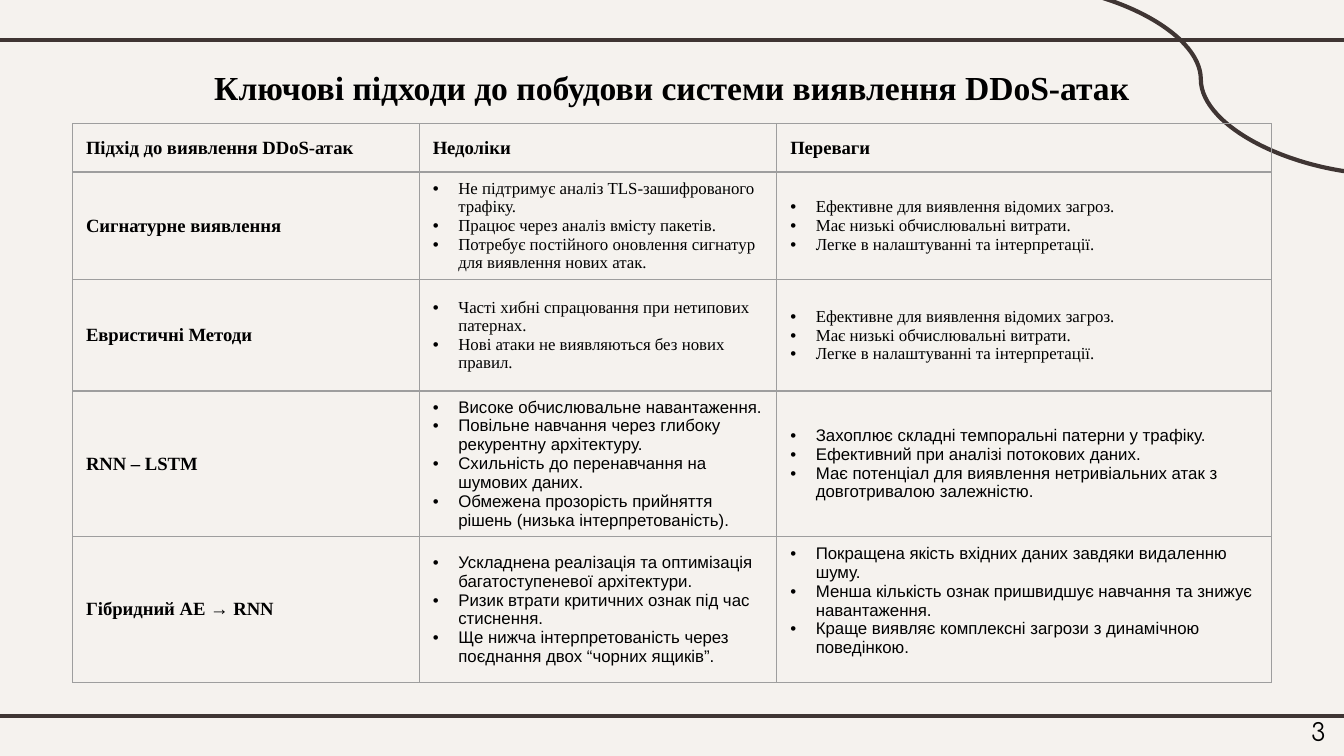
"""Build a slide with a table comparing approaches to detecting DDoS attacks."""
from lxml import etree
from pptx import Presentation
from pptx import util as u
from pptx.dml.color import RGBColor
from pptx.enum import shapes, text
from pptx.oxml import ns

PAPER = RGBColor(0xF5, 0xF2, 0xEE)
BROWN = RGBColor(0x3F, 0x35, 0x33)
GREY = RGBColor(0x9E, 0x9E, 0x9E)
BLACK = RGBColor(0, 0, 0)
SERIF, SANS = "Times New Roman", "Arial"

KNOWN_THREATS = [
    "Ефективне для виявлення відомих загроз.",
    "Має низькі обчислювальні витрати.",
    "Легке в налаштуванні та інтерпретації.",
]
HEADER = ["Підхід до виявлення DDoS-атак", "Недоліки", "Переваги"]
APPROACHES = [
    ("Сигнатурне виявлення", SERIF,
     ["Не підтримує аналіз TLS-зашифрованого трафіку.",
      "Працює через аналіз вмісту пакетів.",
      "Потребує постійного оновлення сигнатур для виявлення нових атак."],
     KNOWN_THREATS),
    ("Eвристичні Методи", SERIF,
     ["Часті хибні спрацювання при нетипових патернах.",
      "Нові атаки не виявляються без нових правил."],
     KNOWN_THREATS),
    ("RNN – LSTM", SANS,
     ["Високе обчислювальне навантаження.",
      "Повільне навчання через глибоку рекурентну архітектуру.",
      "Схильність до перенавчання на шумових даних.",
      "Обмежена прозорість прийняття рішень (низька інтерпретованість)."],
     ["Захоплює складні темпоральні патерни у трафіку.",
      "Ефективний при аналізі потокових даних.",
      "Має потенціал для виявлення нетривіальних атак з довготривалою залежністю."]),
    ("Гібридний AE → RNN", SANS,
     ["Ускладнена реалізація та оптимізація багатоступеневої архітектури.",
      "Ризик втрати критичних ознак під час стиснення.",
      "Ще нижча інтерпретованість через поєднання двох “чорних ящиків”."],
     ["Покращена якість вхідних даних завдяки видаленню шуму.",
      "Менша кількість ознак пришвидшує навчання та знижує навантаження.",
      "Краще виявляє комплексні загрози з динамічною поведінкою."]),
]
COLS = [2.58, 2.66, 3.68]
ROWS = [0.36, 0.8, 0.83, 1.08, 1.09]


def write(tf, lines, align=None, bullet=False, **fmt):
    for i, line in enumerate(lines):
        p = tf.paragraphs[0] if i == 0 else tf.add_paragraph()
        p.alignment = align
        r = p.add_run()
        r.text = line
        r.font.color.rgb = BLACK
        for name, value in fmt.items():
            setattr(r.font, name, value)
        if bullet:
            pPr = p._p.get_or_add_pPr()
            pPr.set("marL", str(u.Inches(0.19)))
            pPr.set("indent", str(-u.Inches(0.19)))
            clr = etree.SubElement(pPr, ns.qn("a:buClr"))
            etree.SubElement(clr, ns.qn("a:srgbClr"), val=str(BLACK))
            etree.SubElement(pPr, ns.qn("a:buFont"), typeface=SANS)
            etree.SubElement(pPr, ns.qn("a:buChar"), char="•")


def frame(cell):
    tcPr = cell._tc.get_or_add_tcPr()
    for side in "LRTB":
        ln = etree.SubElement(tcPr, ns.qn(f"a:ln{side}"), w=str(u.Pt(0.75)))
        fill = etree.SubElement(ln, ns.qn("a:solidFill"))
        etree.SubElement(fill, ns.qn("a:srgbClr"), val=str(GREY))
    cell.fill.background()


prs = Presentation()
prs.slide_width = u.Inches(10)
prs.slide_height = prs.slide_width * 9 // 16
s = prs.slides.add_slide(prs.slide_layouts[5])
s.background.fill.solid()
s.background.fill.fore_color.rgb = PAPER

STRAIGHT, CURVE = shapes.MSO_CONNECTOR.STRAIGHT, shapes.MSO_CONNECTOR.CURVE
for kind, *ends in [(STRAIGHT, -0.08, 0.3, 10.08, 0.3),
                    (STRAIGHT, -0.08, 5.33, 10.08, 5.33),
                    (CURVE, 7.53, -0.12, 10.34, 1.3)]:
    sp = s.shapes.add_connector(kind, *map(u.Inches, ends))
    sp.line.color.rgb = BROWN
    sp.line.width = u.Pt(2.25)
    etree.SubElement(sp._element.spPr, ns.qn("a:effectLst"))

title = s.shapes.title
number = s.shapes.add_textbox(0, 0, 0, 0)
for sp, box in [(title, (0.89, 0.4, 8.22, 0.43)), (number, (9.36, 5.24, 0.6, 0.43))]:
    for name, value in zip(("left", "top", "width", "height"), box):
        setattr(sp, name, u.Inches(value))
    tf = sp.text_frame
    tf.word_wrap = True
    tf.auto_size = text.MSO_AUTO_SIZE.NONE
    tf.vertical_anchor = text.MSO_ANCHOR.TOP
    for side in ("left", "top", "right", "bottom"):
        setattr(tf, f"margin_{side}", u.Inches(0.1))
write(title.text_frame, ["Ключові підходи до побудови системи виявлення DDoS-атак"],
      text.PP_ALIGN.CENTER, name=SERIF, size=u.Pt(18), bold=True)
write(number.text_frame, ["3"], text.PP_ALIGN.RIGHT, name="Comfortaa", size=u.Pt(13))

table = s.shapes.add_table(len(ROWS), len(COLS), u.Inches(0.54), u.Inches(0.92),
                           u.Inches(sum(COLS)), u.Inches(sum(ROWS))).table
table.first_row = table.horz_banding = False
for col, width in zip(table.columns, COLS):
    col.width = u.Inches(width)
for row, height in zip(table.rows, ROWS):
    row.height = u.Inches(height)
for cell in table.iter_cells():
    cell.vertical_anchor = text.MSO_ANCHOR.MIDDLE
    frame(cell)

heading = {"name": SERIF, "size": u.Pt(10), "bold": True}
for c, label in enumerate(HEADER):
    write(table.cell(0, c).text_frame, [label], **heading)
for r, (label, font, *lists) in enumerate(APPROACHES, 1):
    write(table.cell(r, 0).text_frame, [label], **heading)
    for c, items in enumerate(lists, 1):
        write(table.cell(r, c).text_frame, items, bullet=True,
              name=font, size=u.Pt(9), bold=False)
table.cell(len(ROWS) - 1, len(COLS) - 1).margin_bottom = u.Inches(0.18)

prs.save("out.pptx")
